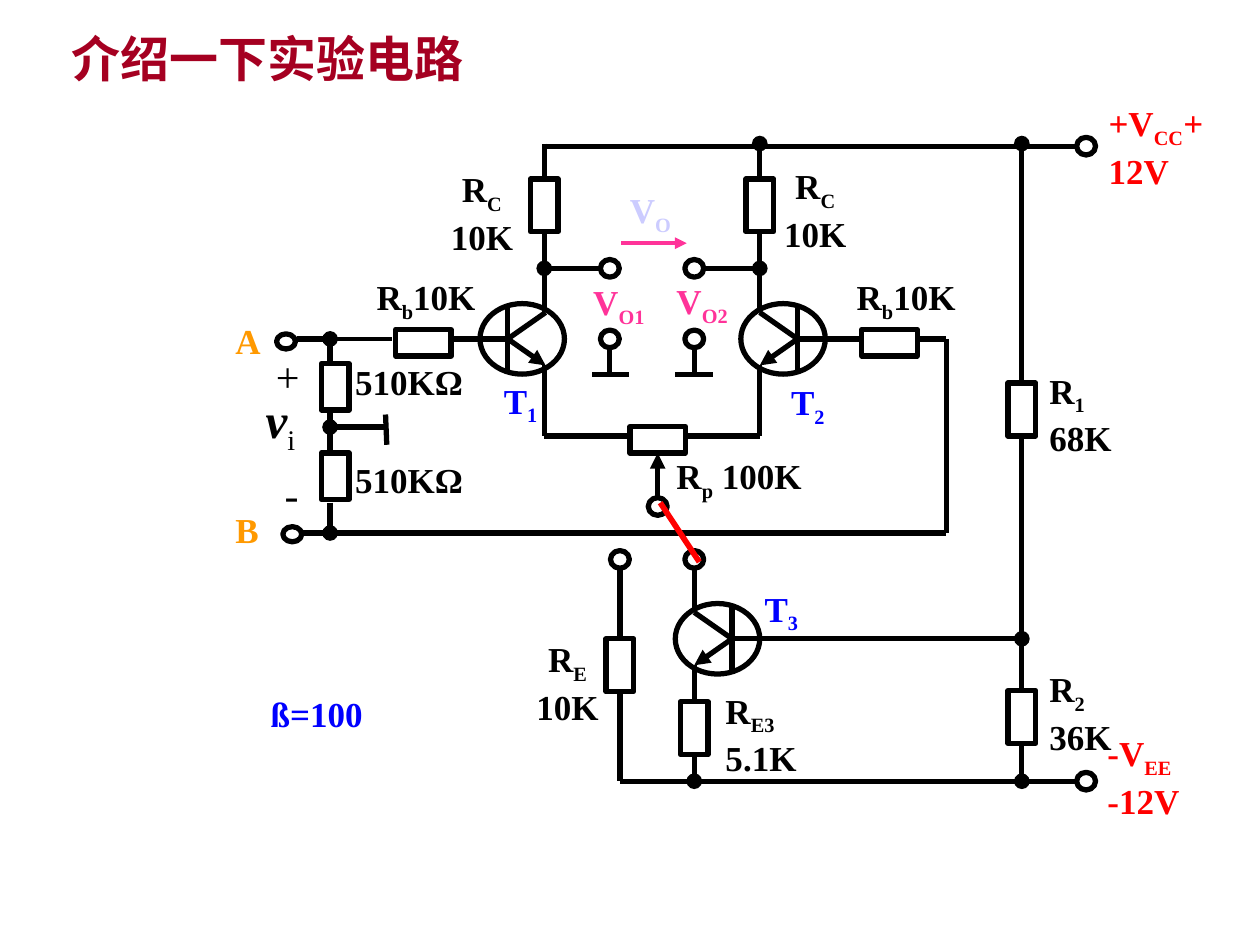
from pptx import Presentation
from pptx.dml.color import RGBColor
from pptx.enum.shapes import MSO_CONNECTOR, MSO_SHAPE
from pptx.enum.text import MSO_AUTO_SIZE, PP_ALIGN
from pptx.oxml.ns import qn
from pptx.util import Inches, Pt
from lxml import etree

STRAIGHT = MSO_CONNECTOR.STRAIGHT
RECTANGLE = MSO_SHAPE.RECTANGLE
OVAL = MSO_SHAPE.OVAL
LEFT = PP_ALIGN.LEFT
CENTER = PP_ALIGN.CENTER
FIT_TEXT = MSO_AUTO_SIZE.SHAPE_TO_FIT_TEXT

FONT = "Times New Roman"
BLACK, WHITE, BLUE, RED = "000000", "FFFFFF", "0000FF", "FF0000"
PINK, LILAC, ORANGE, CRIMSON = "FF3399", "CCCCFF", "FF9900", "A50021"

UPRIGHT = (0.22, 0.42)
INPUT = (0.22, 0.37)
FLAT = (0.44, 0.21)
JOIN_DISTANCE = 0.02

RESISTORS = [
    (4.32, 1.63, UPRIGHT, None),
    (6.03, 1.63, UPRIGHT, None),
    (4.92, 5.28, UPRIGHT, None),
    (5.51, 5.78, UPRIGHT, None),
    (8.11, 3.25, UPRIGHT, None),
    (8.11, 5.69, UPRIGHT, WHITE),
    (2.66, 3.07, INPUT, None),
    (2.66, 3.78, INPUT, None),
    (3.36, 2.72, FLAT, None),
    (7.06, 2.72, FLAT, None),
    (5.22, 3.49, FLAT, None),
]

TRANSISTORS = [(4.03, 2.69, 1), (6.33, 2.69, -1), (5.81, 5.07, -1)]

TERMINAL = (0.15, 0.14)
INPUT_TERMINAL = (0.15, 0.12)
TERMINALS = [
    (4.92, 4.44, TERMINAL),
    (5.51, 4.44, TERMINAL),
    (5.22, 4.02, TERMINAL),
    (4.84, 2.13, TERMINAL),
    (5.51, 2.13, TERMINAL),
    (4.84, 2.69, TERMINAL),
    (5.51, 2.69, TERMINAL),
    (8.62, 1.16, TERMINAL),
    (8.62, 6.2, TERMINAL),
    (2.27, 2.71, INPUT_TERMINAL),
    (2.32, 4.24, INPUT_TERMINAL),
]

WIRES = [
    (4.32, 1.16, 8.11, 1.16),
    (8.11, 1.16, 8.55, 1.16),
    (4.32, 1.14, 4.32, 1.42),
    (4.32, 1.84, 4.32, 2.48),
    (6.03, 1.84, 6.03, 2.48),
    (6.33, 2.69, 6.85, 2.69),
    (4.03, 2.69, 3.58, 2.69),
    (4.32, 2.9, 4.32, 3.46),
    (4.32, 3.46, 4.99, 3.46),
    (6.03, 2.9, 6.03, 3.46),
    (5.44, 3.46, 6.03, 3.46),
    (2.62, 3.25, 2.62, 3.6),
    (3.06, 3.29, 3.07, 3.53),
    (7.29, 2.69, 7.51, 2.69),
    (7.51, 2.69, 7.51, 4.23),
    (2.62, 4.23, 7.51, 4.23),
    (2.62, 4.23, 2.4, 4.23),
    (5.51, 4.86, 5.51, 4.51),
    (4.92, 4.51, 4.92, 5.07),
    (4.92, 5.49, 4.92, 6.2),
    (5.51, 6.2, 4.92, 6.2),
    (5.51, 5.28, 5.51, 5.57),
    (5.51, 6.2, 8.11, 6.2),
    (8.11, 6.2, 8.55, 6.2),
    (8.11, 3.46, 8.11, 5.07),
    (8.11, 5.07, 8.11, 5.48),
    (4.84, 2.76, 4.84, 2.97),
    (5.51, 2.76, 5.51, 2.97),
    (4.7, 2.97, 4.99, 2.97),
    (5.36, 2.97, 5.66, 2.97),
    (2.58, 2.69, 2.36, 2.69),
]

NODE_WIRES = [
    (6.03, 1.42, 6.03, 1.14),
    (8.11, 3.04, 8.11, 1.14),
    (4.77, 2.13, 4.32, 2.13),
    (5.59, 2.13, 6.03, 2.13),
    (2.62, 2.9, 2.62, 2.69),
    (3.06, 3.39, 2.62, 3.39),
    (2.62, 3.99, 2.62, 4.23),
    (5.81, 5.07, 8.11, 5.07),
    (5.51, 5.99, 5.51, 6.2),
    (8.11, 5.9, 8.11, 6.2),
]

LABELS = [
    ("介绍一下实验电路", 0.47, 0.18, 4.8, 0.57, {"size": 28, "color": CRIMSON}),
    ("R_b_10K", 2.89, 2.14, 1.41, 0.43, {}),
    ("R_b_10K", 6.7, 2.14, 1.18, 0.43, {}),
    ("510KΩ", 2.72, 2.81, 1.18, 0.43, {}),
    ("510KΩ", 2.72, 3.59, 1.18, 0.43, {}),
    ("R_C_\n10K", 3.39, 1.28, 0.87, 0.77, {"align": CENTER}),
    ("R_C_\n10K", 6.06, 1.26, 0.82, 0.77, {"align": CENTER}),
    ("R_E_\n10K", 4.07, 5.01, 0.87, 0.77, {"align": CENTER}),
    ("R_E3_\n5.1K", 5.66, 5.42, 1.04, 0.77, {}),
    ("R_1_\n68K", 8.23, 2.88, 1.22, 0.77, {}),
    ("R_2_\n36K", 8.23, 5.25, 1.22, 0.77, {}),
    ("R_p_ 100K", 5.27, 3.56, 1.42, 0.43, {}),
    ("V_O_", 4.9, 1.45, 0.67, 0.43, {"color": LILAC}),
    ("V_O1_", 4.61, 2.18, 0.81, 0.43, {"color": PINK}),
    ("V_O2_", 5.27, 2.17, 0.89, 0.43, {"color": PINK}),
    ("T_1_", 3.9, 2.96, 0.82, 0.43, {"color": BLUE}),
    ("T_2_", 6.18, 2.97, 0.67, 0.43, {"color": BLUE}),
    ("T_3_", 5.97, 4.61, 0.67, 0.43, {"color": BLUE}),
    ("+V_CC_+12V", 8.7, 0.76, 0.96, 0.77, {"color": RED}),
    ("-V_EE_\n-12V", 8.69, 5.76, 0.89, 0.77, {"color": RED}),
    ("A", 1.77, 2.49, 0.52, 0.43, {"color": ORANGE}),
    ("B", 1.77, 3.99, 0.67, 0.43, {"color": ORANGE}),
    ("ß=100", 2.05, 5.45, 1.48, 0.43, {"color": BLUE}),
    ("+", 2.09, 2.73, 0.39, 0.5, {"size": 24, "bold": False}),
    ("-", 2.16, 3.67, 0.39, 0.5, {"size": 24, "bold": False}),
    ("v_i_", 2.01, 3.04, 0.79, 0.57, {"size": 28, "italic": True, "plain_subscript": True}),
]

presentation = Presentation()
presentation.slide_width = Inches(10)
presentation.slide_height = Inches(7.5)
slide = presentation.slides.add_slide(presentation.slide_layouts[6])
joints = []


def color_of(value):
    return RGBColor.from_string(value)


def add_outline(kind, x, y, size, fill=None):
    width, height = size
    shape = slide.shapes.add_shape(kind, Inches(x - width / 2), Inches(y - height / 2),
                                   Inches(width), Inches(height))
    shape.shadow.inherit = False
    if fill:
        shape.fill.solid()
        shape.fill.fore_color.rgb = color_of(fill)
    else:
        shape.fill.background()
    shape.line.color.rgb = color_of(BLACK)
    shape.line.width = Pt(3)
    return shape


def add_resistor(x, y, size, fill):
    shape = add_outline(RECTANGLE, x, y, size, fill)
    width, height = size
    sides = [(x, y - height / 2), (x - width / 2, y), (x, y + height / 2), (x + width / 2, y)]
    joints.extend((shape, site, side_x, side_y) for site, (side_x, side_y) in enumerate(sides))


def join_end(connect, x, y):
    for shape, site, side_x, side_y in joints:
        if max(abs(x - side_x), abs(y - side_y)) < JOIN_DISTANCE:
            connect(shape, site)


def add_wire(x1, y1, x2, y2, tail=None, color=BLACK, weight=3):
    wire = slide.shapes.add_connector(STRAIGHT, Inches(x1), Inches(y1), Inches(x2), Inches(y2))
    join_end(wire.begin_connect, x1, y1)
    join_end(wire.end_connect, x2, y2)
    wire.line.color.rgb = color_of(color)
    wire.line.width = Pt(weight)
    properties = wire._element.spPr
    if tail:
        etree.SubElement(properties.find(qn("a:ln")), qn("a:tailEnd"), type=tail)
    etree.SubElement(properties, qn("a:effectLst"))


def add_transistor(base, y, direction):
    add_outline(OVAL, base + direction * 0.115, y, (0.67, 0.56))
    add_wire(base, y - 0.28, base, y + 0.28)
    add_wire(base, y, base + direction * 0.3, y - 0.21)
    add_wire(base, y, base + direction * 0.3, y + 0.21, tail="triangle")


def add_text(text, left, top, width, height, size=20, color=BLACK, bold=True,
             italic=False, align=LEFT, plain_subscript=False):
    box = slide.shapes.add_textbox(Inches(left), Inches(top), Inches(width), Inches(height))
    frame = box.text_frame
    frame.word_wrap = True
    frame.auto_size = FIT_TEXT
    for number, line in enumerate(text.split("\n")):
        paragraph = frame.add_paragraph() if number else frame.paragraphs[0]
        paragraph.alignment = align
        for position, part in enumerate(line.split("_")):
            if not part:
                continue
            subscript = position % 2 == 1
            styled = not (subscript and plain_subscript)
            run = paragraph.add_run()
            run.text = part
            run.font.name = FONT
            run.font.size = Pt(size)
            run.font.bold = bold and styled
            run.font.italic = italic and styled
            run.font.color.rgb = color_of(color)
            if subscript:
                run._r.get_or_add_rPr().set("baseline", "-25000")


for resistor in RESISTORS:
    add_resistor(*resistor)
for transistor in TRANSISTORS:
    add_transistor(*transistor)
for x, y, size in TERMINALS:
    add_outline(OVAL, x, y, size)
for wire in WIRES:
    add_wire(*wire)
for wire in NODE_WIRES:
    add_wire(*wire, tail="oval")
add_wire(2.64, 2.69, 3.11, 2.69, weight=2)
add_wire(5.22, 3.95, 5.22, 3.6, tail="triangle")
add_wire(4.93, 1.93, 5.45, 1.93, tail="triangle", color=PINK, weight=2.25)
add_wire(5.24, 3.99, 5.55, 4.46, color=RED, weight=3.25)
for text, left, top, width, height, style in LABELS:
    add_text(text, left, top, width, height, **style)

presentation.save("out.pptx")
